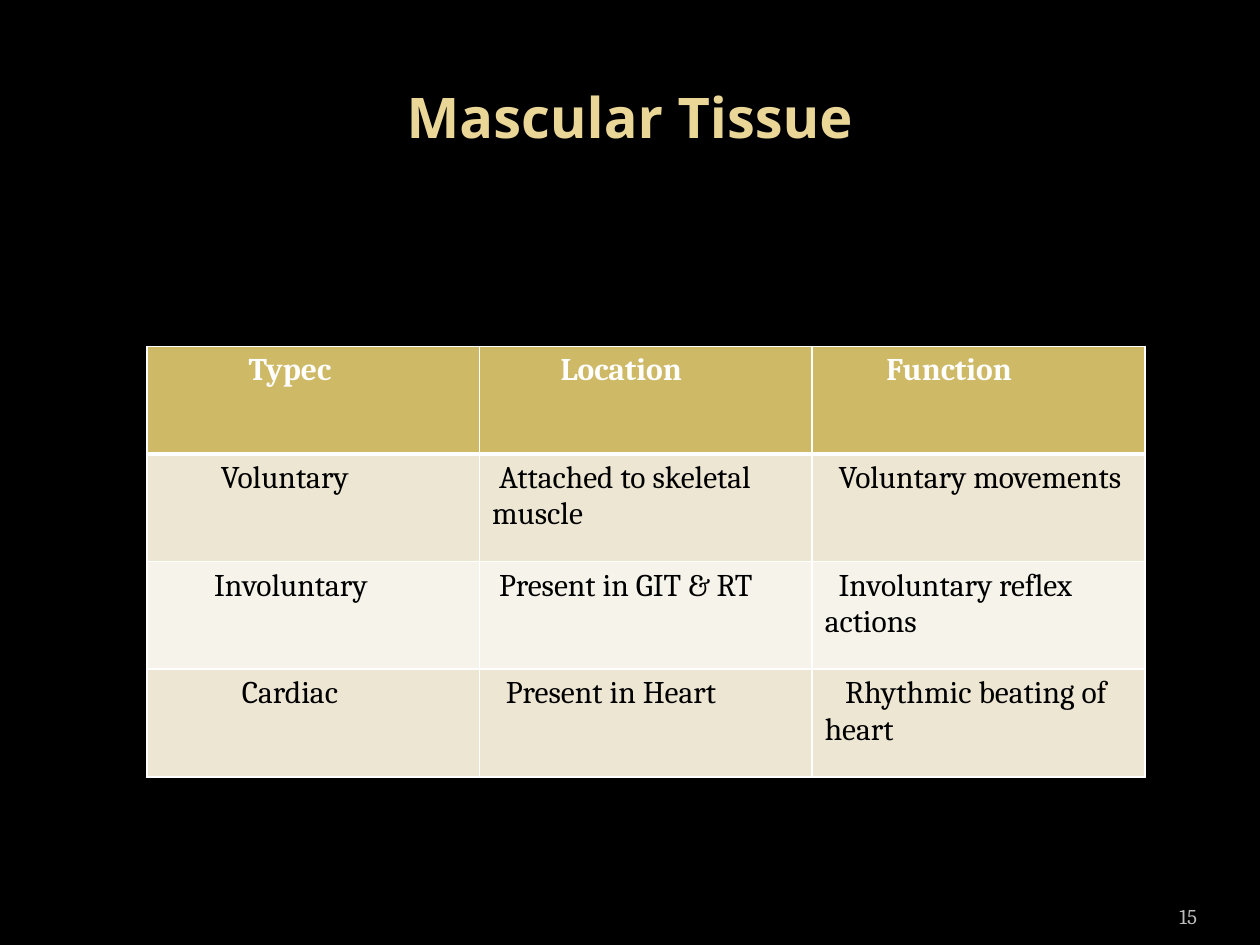
"""Build the muscular tissue slide with its table of types, locations and functions."""
import lxml.etree
import pptx
import pptx.dml.color
import pptx.enum.text
import pptx.oxml.ns
import pptx.util

Cm = pptx.util.Cm
Pt = pptx.util.Pt
RGBColor = pptx.dml.color.RGBColor
ALIGN = pptx.enum.text.PP_ALIGN
ANCHOR = pptx.enum.text.MSO_ANCHOR

BLACK = RGBColor(0x00, 0x00, 0x00)
WHITE = RGBColor(0xFF, 0xFF, 0xFF)
GOLD = RGBColor(0xCE, 0xB9, 0x66)
PALE_GOLD = RGBColor(0xEA, 0xD6, 0x96)
SAND = RGBColor(0xED, 0xE6, 0xD3)
CREAM = RGBColor(0xF6, 0xF3, 0xEA)
GREY = RGBColor(0xBD, 0xBD, 0xBD)


def write(frame, text, size=18, font="Cambria", color=BLACK, bold=False,
          align=ALIGN.LEFT, anchor=ANCHOR.TOP, indent=0):
    frame.word_wrap = True
    frame.vertical_anchor = anchor
    paragraph = frame.paragraphs[0]
    paragraph.alignment = align
    if indent:
        paragraph._p.get_or_add_pPr().set("indent", str(Cm(indent)))
    run = paragraph.add_run()
    run.text = text
    run.font.size = Pt(size)
    run.font.name = font
    run.font.bold = bold
    run.font.color.rgb = color


def add_border(cell, side, width):
    properties = cell._tc.get_or_add_tcPr()
    line = lxml.etree.SubElement(properties, pptx.oxml.ns.qn(f"a:ln{side}"), w=str(Pt(width)))
    fill = lxml.etree.SubElement(line, pptx.oxml.ns.qn("a:solidFill"))
    lxml.etree.SubElement(fill, pptx.oxml.ns.qn("a:srgbClr"), val=str(WHITE))


presentation = pptx.Presentation()
presentation.slide_width = Cm(25.4)
presentation.slide_height = Cm(19.05)
slide = presentation.slides.add_slide(presentation.slide_layouts[6])
slide.background.fill.solid()
slide.background.fill.fore_color.rgb = BLACK

title = slide.shapes.add_textbox(Cm(1.27), Cm(0.76), Cm(22.86), Cm(3.18))
write(title.text_frame, "Mascular Tissue", size=32, font="Open Sans", color=PALE_GOLD,
      bold=True, align=ALIGN.CENTER, anchor=ANCHOR.MIDDLE)

page_number = slide.shapes.add_textbox(Cm(22.02), Cm(17.83), Cm(2.11), Cm(1.02))
page_number.text_frame.margin_left = page_number.text_frame.margin_right = 0
write(page_number.text_frame, "15", size=12, color=GREY, align=ALIGN.RIGHT, anchor=ANCHOR.BOTTOM)

rows = [
    [("Typec", 1.8), ("Location", 1.38), ("Function", 1.24)],
    [("Voluntary", 1.24), ("Attached to skeletal muscle", 0.14), ("Voluntary movements", 0.28)],
    [("Involuntary", 1.1), ("Present in GIT & RT", 0.14), ("Involuntary reflex actions", 0.28)],
    [("Cardiac", 1.66), ("Present in Heart", 0.28), ("Rhythmic beating of heart", 0.41)],
]
row_fills = [GOLD, SAND, CREAM, SAND]

table = slide.shapes.add_table(4, 3, Cm(2.96), Cm(6.98), Cm(20.12), Cm(8.68)).table
for row_index, row in enumerate(rows):
    is_header = row_index == 0
    for column_index, (text, indent) in enumerate(row):
        cell = table.cell(row_index, column_index)
        write(cell.text_frame, text, color=WHITE if is_header else BLACK,
              bold=is_header, indent=indent)
        add_border(cell, "L", 1)
        add_border(cell, "R", 1)
        add_border(cell, "T", 3 if row_index == 1 else 1)
        add_border(cell, "B", 3 if is_header else 1)
        cell.fill.solid()
        cell.fill.fore_color.rgb = row_fills[row_index]

presentation.save("out.pptx")
